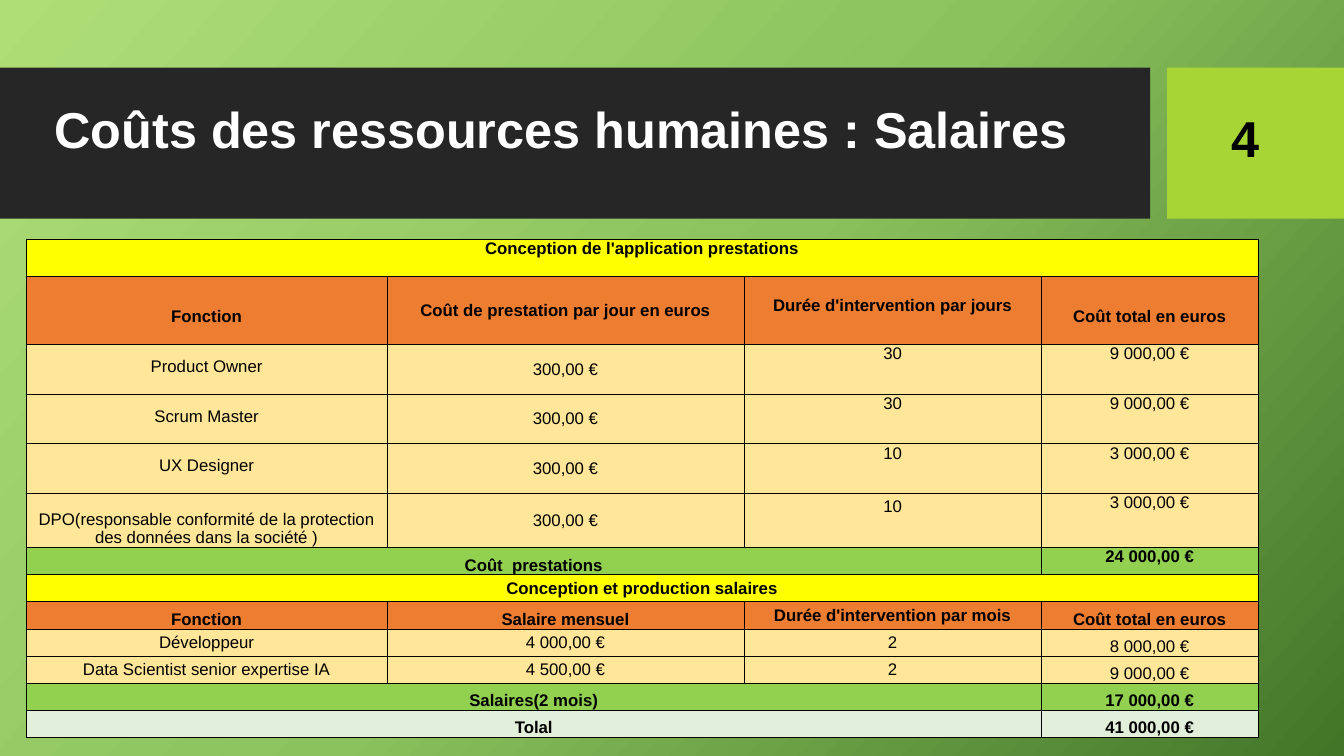
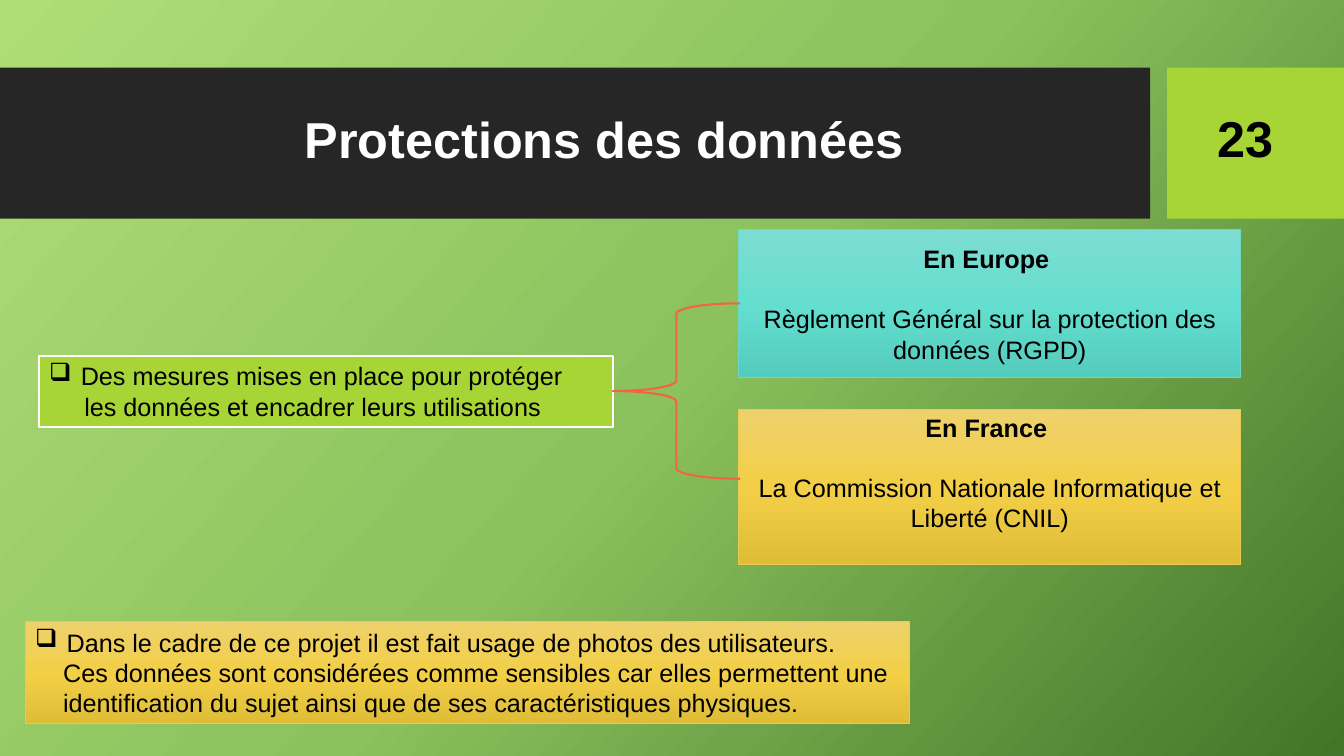
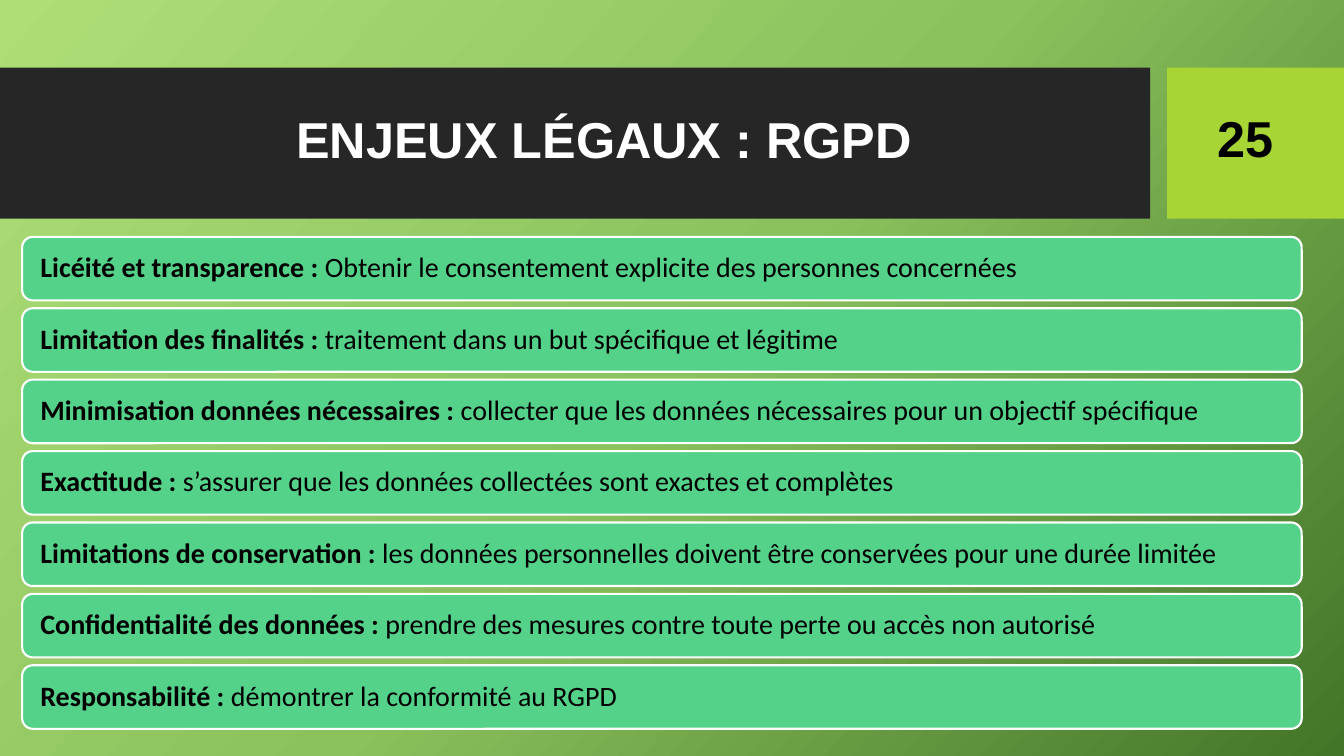
from pptx import Presentation
from pptx.dml.color import RGBColor
from pptx.enum.shapes import MSO_SHAPE as Shape
from pptx.enum.text import MSO_ANCHOR as Anchor, MSO_AUTO_SIZE as Auto, PP_ALIGN as Align
from pptx.oxml import parse_xml
from pptx.oxml.ns import nsdecls, qn
from pptx.util import Pt

BLACK = RGBColor(0x00, 0x00, 0x00)
WHITE = RGBColor(0xFF, 0xFF, 0xFF)
DARK = RGBColor(0x26, 0x26, 0x26)
LIME = RGBColor(0xA7, 0xD5, 0x35)
CORAL = RGBColor(0xF4, 0x64, 0x42)
MINT = RGBColor(0x54, 0xD2, 0x89)
YELLOW = RGBColor(0xFF, 0xFF, 0x00)
ORANGE = RGBColor(0xED, 0x7D, 0x31)
CREAM = RGBColor(0xFF, 0xE6, 0x99)
GREEN = RGBColor(0x92, 0xD0, 0x50)
PALE = RGBColor(0xE2, 0xEF, 0xDA)
TEAL_EDGE = RGBColor(0x6A, 0xD8, 0xCB)
GOLD_EDGE = RGBColor(0xEA, 0xCA, 0x4F)

# Gradient stops at 0, 50 and 100 %
MEADOW = [RGBColor(0xAF, 0xDE, 0x77), RGBColor(0x8B, 0xC2, 0x5D), RGBColor(0x43, 0x75, 0x28)]
TEAL = [RGBColor(0x7E, 0xDD, 0xD2), RGBColor(0x64, 0xDE, 0xCF), RGBColor(0x53, 0xCB, 0xBD)]
GOLD = [RGBColor(0xEE, 0xD1, 0x6B), RGBColor(0xF2, 0xCF, 0x47), RGBColor(0xE0, 0xBD, 0x37)]

BANDS = [((0, 48.24, 821.52, 108), DARK), ((833.76, 48.24, 126.24, 108), LIME)]

# Cell anchors: position, top inset, bottom inset
ANCHORS = {
    "t": (Anchor.TOP, 0, 0),
    "s": (Anchor.TOP, 3, 0),
    "m": (Anchor.MIDDLE, 0, 0),
    "b": (Anchor.BOTTOM, 0, 0),
    "l": (Anchor.BOTTOM, 0, 13),
    "h": (Anchor.BOTTOM, 0, 21.5),
}
COLS = [257.8, 254.9, 212.4, 154.8]
LOW, MID = 19.4, 35.4
# Fill, bold, row height, anchors, texts
ROWS = [
    (YELLOW, True, 27, "t", ["Conception de l'application prestations"]),
    (ORANGE, True, 48.6, "lmhl", ["Fonction", "Coût de prestation par jour en euros",
                                  "Durée d'intervention par jours", "Coût total en euros"]),
    (CREAM, False, MID, "lmtt", ["Product Owner", "300,00 €", "30", "9 000,00 €"]),
    (CREAM, False, MID, "lmtt", ["Scrum Master", "300,00 €", "30", "9 000,00 €"]),
    (CREAM, False, MID, "lmtt", ["UX Designer", "300,00 €", "10", "3 000,00 €"]),
    (CREAM, False, 38.7, "bmst", ["DPO(responsable conformité de la protection des données dans la société )",
                                  "300,00 €", "10", "3 000,00 €"]),
    (GREEN, True, LOW, "bt", ["Coût  prestations", "24 000,00 €"]),
    (YELLOW, True, LOW, "m", ["Conception et production salaires"]),
    (ORANGE, True, LOW, "bbmb", ["Fonction", "Salaire mensuel",
                                 "Durée d'intervention par mois", "Coût total en euros"]),
    (CREAM, False, LOW, "mmmb", ["Développeur", "4 000,00 €", "2", "8 000,00 €"]),
    (CREAM, False, LOW, "mmmb", ["Data Scientist senior expertise IA", "4 500,00 €", "2", "9 000,00 €"]),
    (GREEN, True, LOW, "bb", ["Salaires(2 mois)", "17 000,00 €"]),
    (PALE, True, LOW, "bb", ["Tolal", "41 000,00 €"]),
]

# Place, fill, edge, edge width, indent of later lines, lines
NOTES = [
    ((28.08, 254.16, 409.68, 51.12), LIME, WHITE, 1.5, 25,
     ["Des mesures mises en place pour protéger", "les données et encadrer leurs utilisations"]),
    ((18, 444.24, 631.44, 72.72), GOLD, GOLD_EDGE, 0.75, 20,
     ["Dans le cadre de ce projet il est fait usage de photos des utilisateurs.",
      "Ces données sont considérées comme sensibles car elles permettent une",
      "identification du sujet ainsi que de ses caractéristiques physiques."]),
]
# Place, fill, edge, bottom inset, heading, text
LAWS = [
    ((527.76, 164.16, 358.56, 105.84), TEAL, TEAL_EDGE, 3.6, "En Europe ",
     "Règlement Général sur la protection des données (RGPD)"),
    ((527.76, 292.32, 358.56, 110.88), GOLD, GOLD_EDGE, 24, "En France ",
     "La Commission Nationale Informatique et Liberté (CNIL)"),
]
BRACE = (437.76, 216.72, 90.72, 125.28)

RULES = [
    ("Licéité et transparence : ", "Obtenir le consentement explicite des personnes concernées"),
    ("Limitation des finalités : ", "traitement dans un but spécifique et légitime"),
    ("Minimisation données nécessaires : ", "collecter que les données nécessaires pour un objectif spécifique"),
    ("Exactitude : ", "s’assurer que les données collectées sont exactes et complètes"),
    ("Limitations de conservation : ", "les données personnelles doivent être conservées pour une durée limitée"),
    ("Confidentialité des données : ", "prendre des mesures contre toute perte ou accès non autorisé"),
    ("Responsabilité : ", "démontrer la conformité au RGPD"),
]


def apply(item, **values):
    for name, value in values.items():
        setattr(item, name, value)


def pts(box):
    return [Pt(v) for v in box]


def shade(fill, root, stops, angle):
    """Gradient with evenly spaced stops; the angle runs clockwise."""
    fill.gradient()
    fill.gradient_angle = 360 - angle
    ramp = root.find(".//" + qn("a:gsLst"))
    for stop in list(ramp):
        ramp.remove(stop)
    for i, color in enumerate(stops):
        pos = 100000 * i // (len(stops) - 1)
        ramp.append(parse_xml(f'<a:gs {nsdecls("a")} pos="{pos}"><a:srgbClr val="{color}"/></a:gs>'))


def write(para, text, size=18, bold=False, color=BLACK, face="Arial"):
    run = para.add_run()
    run.text = text
    apply(run.font, size=Pt(size), bold=bold, name=face)
    run.font.color.rgb = color


def draw(slide, kind, box, fill=None, edge=None, width=0.75):
    shape = slide.shapes.add_shape(kind, *pts(box))
    shape.shadow.inherit = False
    if fill is None:
        shape.fill.background()
    elif isinstance(fill, list):
        shade(shape.fill, shape.element, fill, 90)
    else:
        shape.fill.solid()
        shape.fill.fore_color.rgb = fill
    if edge is None:
        shape.line.fill.background()
    else:
        shape.line.color.rgb = edge
        shape.line.width = Pt(width)
    return shape


def indent(para, left, bullet=None):
    props = para._p.get_or_add_pPr()
    props.set("marL", str(Pt(left)))
    if bullet:
        props.set("indent", str(-Pt(left)))
        props.append(parse_xml(f'<a:buChar {nsdecls("a")} char="{bullet}"/>'))


def prepare(deck):
    """Put the background on the master and the bands on the layout."""
    master, layout = deck.slide_master, deck.slide_layouts[5]
    shade(master.background.fill, master.element, MEADOW, 42)
    for holder in list(layout.placeholders)[1:]:
        holder.element.getparent().remove(holder.element)
    slide = deck.slides.add_slide(layout)
    bands = [draw(slide, Shape.RECTANGLE, box, fill) for box, fill in BANDS]
    for i, band in enumerate(bands):
        layout.shapes.element.insert(2 + i, band.element)
    return slide


def head(slide, text, number, left=53.28, top=59.04, align=Align.CENTER):
    title = slide.shapes.title
    apply(title, left=Pt(left), top=Pt(top), width=Pt(756.72), height=Pt(84.96))
    label = slide.shapes.add_textbox(*pts((847.44, 80.64, 84.24, 42.48)))
    for shape, words, color, space, side in (
            (title, text, WHITE, 0.9, align), (label, str(number), BLACK, 0.8, Align.CENTER)):
        frame = shape.text_frame
        apply(frame, word_wrap=True, auto_size=Auto.NONE, vertical_anchor=Anchor.MIDDLE)
        para = frame.paragraphs[0]
        apply(para, alignment=side, line_spacing=space)
        write(para, words, 36, True, color)


def outline(cell):
    props = cell._tc.get_or_add_tcPr()
    for i, side in enumerate("LRTB"):
        props.insert(i, parse_xml(
            f'<a:ln{side} {nsdecls("a")} w="{Pt(0.5)}"><a:solidFill>'
            f'<a:srgbClr val="{BLACK}"/></a:solidFill></a:ln{side}>'))


def costs(slide):
    box = (18.72, 170.64, sum(COLS), sum(row[2] for row in ROWS))
    table = slide.shapes.add_table(len(ROWS), len(COLS), *pts(box)).table
    apply(table, first_row=False, horz_banding=False)
    for col, width in zip(table.columns, COLS):
        col.width = Pt(width)
    for r, (fill, bold, height, marks, texts) in enumerate(ROWS):
        table.rows[r].height = Pt(height)
        extra = len(COLS) - len(texts)
        if extra:
            table.cell(r, 0).merge(table.cell(r, extra))
        words = texts[:1] + [""] * extra + texts[1:]
        marks = marks[0] * (extra + 1) + marks[1:]
        for c, (text, mark) in enumerate(zip(words, marks)):
            cell = table.cell(r, c)
            anchor, top, bottom = ANCHORS[mark]
            apply(cell, vertical_anchor=anchor, margin_left=0, margin_right=0,
                  margin_top=Pt(top), margin_bottom=Pt(bottom))
            cell.fill.solid()
            cell.fill.fore_color.rgb = fill
            outline(cell)
            para = cell.text_frame.paragraphs[0]
            para.alignment = Align.CENTER
            write(para, text, 12, bold)


def privacy(slide):
    for box, fill, edge, width, left, lines in NOTES:
        frame = draw(slide, Shape.RECTANGLE, box, fill, edge, width).text_frame
        apply(frame, word_wrap=True, vertical_anchor=Anchor.TOP)
        for i, line in enumerate(lines):
            para = frame.add_paragraph() if i else frame.paragraphs[0]
            para.alignment = Align.LEFT
            indent(para, left if i else 22.5, None if i else "❑")
            write(para, line)
    for box, fill, edge, bottom, name, text in LAWS:
        frame = draw(slide, Shape.RECTANGLE, box, fill, edge).text_frame
        apply(frame, word_wrap=True, vertical_anchor=Anchor.MIDDLE, margin_bottom=Pt(bottom))
        first, second = frame.paragraphs[0], frame.add_paragraph()
        apply(first, alignment=Align.CENTER, space_after=Pt(21.5))
        second.alignment = Align.CENTER
        write(first, name, bold=True)
        write(second, text)
    draw(slide, Shape.LEFT_BRACE, BRACE, None, CORAL, 1.5)


def principles(slide):
    top, step, inset = 169.2, 51, Pt(10.8)
    for i, (name, text) in enumerate(RULES):
        box = (15.84, top + i * step, 914, 45.4)
        frame = draw(slide, Shape.ROUNDED_RECTANGLE, box, MINT, WHITE, 1.5).text_frame
        apply(frame, word_wrap=True, vertical_anchor=Anchor.MIDDLE, margin_left=inset,
              margin_right=inset, margin_top=inset, margin_bottom=inset)
        para = frame.paragraphs[0]
        apply(para, alignment=Align.LEFT, line_spacing=0.9)
        write(para, name, 20, True, face="Calibri")
        write(para, text, 20, face="Calibri")


def main():
    deck = Presentation()
    apply(deck, slide_width=Pt(960), slide_height=Pt(540))
    slide = prepare(deck)
    head(slide, "Coûts des ressources humaines : Salaires", 4, 31.68, 51.84, Align.LEFT)
    costs(slide)
    for title, number, fill in (("Protections des données", 23, privacy),
                                ("ENJEUX LÉGAUX : RGPD", 25, principles)):
        slide = deck.slides.add_slide(deck.slide_layouts[5])
        head(slide, title, number)
        fill(slide)
    deck.save("out.pptx")


if __name__ == "__main__":
    main()
